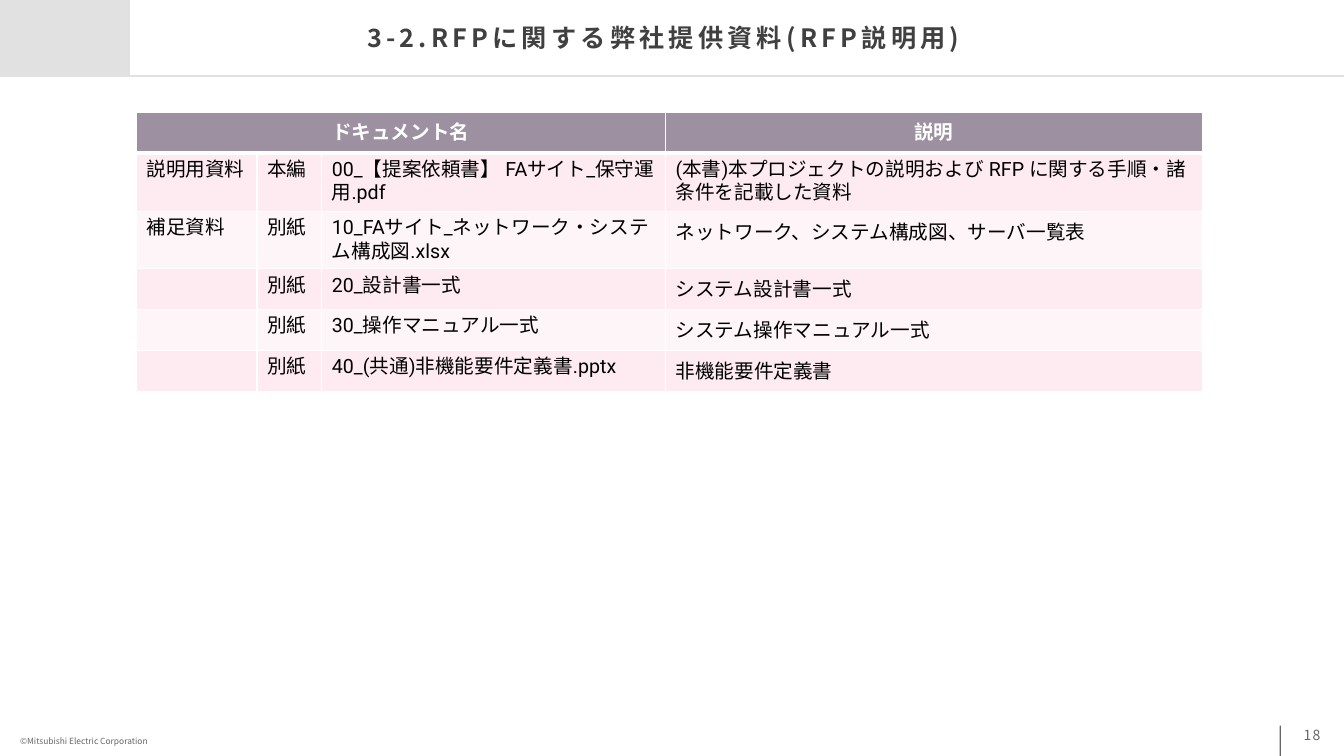
import pptx
import pptx.dml.color
import pptx.enum.shapes
import pptx.enum.text
import pptx.oxml
import pptx.oxml.ns
import pptx.util

Pt = pptx.util.Pt
ALIGN = pptx.enum.text.PP_ALIGN
ANCHOR = pptx.enum.text.MSO_ANCHOR
qn = pptx.oxml.ns.qn
NS = pptx.oxml.ns.nsdecls("a")
SANS, ROBOTO = "Noto Sans CJK JP", "Roboto"

HEADERS = [(0, "ドキュメント名"), (3, "説明")]
ROWS = [
    ("説明用資料", "本編", "00_【提案依頼書】 FAサイト_保守運用.pdf",
     "(本書)本プロジェクトの説明および RFP に関する手順・諸条件を記載した資料"),
    ("補足資料", "別紙", "10_FAサイト_ネットワーク・システム構成図.xlsx",
     "ネットワーク、システム構成図、サーバ一覧表"),
    ("", "別紙", "20_設計書一式", "システム設計書一式"),
    ("", "別紙", "30_操作マニュアル一式", "システム操作マニュアル一式"),
    ("", "別紙", "40_(共通)非機能要件定義書.pptx", "非機能要件定義書"),
]


def color(hex_string):
    return pptx.dml.color.RGBColor.from_string(hex_string)


def set_text(p, text, size, hex_string, font=SANS, bold=False, align=ALIGN.LEFT, spacing=0):
    p.text = text
    p.alignment = align
    f = p.font
    f.size, f.bold, f.name = Pt(size), bold, font
    f.color.rgb = color(hex_string)
    rpr = p._p.pPr.find(qn("a:defRPr"))
    rpr.set("spc", str(spacing * 100))
    rpr.find(qn("a:latin")).addnext(
        pptx.oxml.parse_xml(f'<a:ea {NS} typeface="{font}"/>'))


def add_text(s, x, y, w, h, text, size, hex_string, anchor=ANCHOR.MIDDLE, wrap=True, **style):
    tf = s.shapes.add_textbox(Pt(x), Pt(y), Pt(w), Pt(h)).text_frame
    tf.word_wrap = wrap
    tf.vertical_anchor = anchor
    tf.margin_left = tf.margin_right = tf.margin_top = tf.margin_bottom = 0
    set_text(tf.paragraphs[0], text, size, hex_string, **style)
    return tf.paragraphs[0]


def add_block(s, x, y, w, h, hex_string):
    block = s.shapes.add_shape(
        pptx.enum.shapes.MSO_SHAPE.RECTANGLE, Pt(x), Pt(y), Pt(w), Pt(h))
    block.shadow.inherit = False
    block.fill.solid()
    block.fill.fore_color.rgb = color(hex_string)
    block.line.fill.background()


def add_header(s, x, y, w, h):
    # Rule under the title band
    rule = s.shapes.add_connector(
        pptx.enum.shapes.MSO_CONNECTOR.STRAIGHT, Pt(x), Pt(y + h), Pt(x + w), Pt(y + h))
    rule.line.color.rgb = color("E1E1E1")
    rule.line.width = Pt(1.5)
    rule._element.spPr.append(pptx.oxml.parse_xml(f"<a:effectLst {NS}/>"))
    # Corner block and title
    add_block(s, x, y, 92.8, h, "E1E1E1")
    add_text(s, x + 123, y, 701.5, h, "3-2.RFPに関する弊社提供資料(RFP説明用)", 18, "404040",
             bold=True, align=ALIGN.CENTER, spacing=3)


def add_footer(s, x, y, w, h):
    add_block(s, x + w - 46, y + h - 21.6, 0.9, 21.6, "666666")
    p = add_text(s, x + 14.4, y + h - 16.6, 101.5, 8.6, "©Mitsubishi Electric Corporation",
                 6, "666666", anchor=ANCHOR.TOP, wrap=False)
    p.line_spacing = 1.3
    add_text(s, x + w - 60, y + h - 25.2, 43.2, 20.9, "18", 10, "666666",
             align=ALIGN.RIGHT, spacing=1)


def style_cell(cell, fill, bottom=1):
    cell.fill.solid()
    cell.fill.fore_color.rgb = color(fill)
    tcpr = cell._tc.tcPr
    for i, (side, width) in enumerate(zip("LRTB", (1, 1, 1, bottom))):
        tcpr.insert(i, pptx.oxml.parse_xml(
            f'<a:ln{side} {NS} w="{Pt(width)}"><a:solidFill><a:srgbClr val="FFFFFF"/>'
            f"</a:solidFill></a:ln{side}>"))


def add_documents(s, x, y, w, h):
    widths = [86.2, 46.3, 245.5]
    heights = [29.2, 41.76] + [29.2] * 4
    table = s.shapes.add_table(
        len(ROWS) + 1, 4, Pt(x), Pt(y), Pt(w), Pt(h)).table
    for column, width in zip(table.columns, widths + [w - sum(widths)]):
        column.width = Pt(width)
    for row, height in zip(table.rows, heights):
        row.height = Pt(height)

    # Heading row
    for cell in table.rows[0].cells:
        style_cell(cell, "9D90A0", bottom=3)
    table.cell(0, 0).merge(table.cell(0, 2))
    for c, text in HEADERS:
        cell = table.cell(0, c)
        cell.vertical_anchor = ANCHOR.MIDDLE
        set_text(cell.text_frame.paragraphs[0], text, 14, "FFFFFF", ROBOTO, True, ALIGN.CENTER)

    # Document rows in alternating tints
    for r, texts in enumerate(ROWS, 1):
        for c, text in enumerate(texts):
            cell = table.cell(r, c)
            style_cell(cell, "FDEBF1" if r % 2 else "FEF5F8")
            font = SANS if c == 3 and r > 1 else ROBOTO
            set_text(cell.text_frame.paragraphs[0], text, 14, "000000", font)


def main():
    prs = pptx.Presentation()
    prs.slide_width, prs.slide_height = Pt(960), Pt(540)
    s = prs.slides.add_slide(prs.slide_layouts[6])
    add_footer(s, 0, 0, 960, 540)
    add_header(s, 0, 0, 960, 54)
    add_documents(s, 97.4, 80.2, 761.6, 200.9)
    prs.save("out.pptx")


if __name__ == "__main__":
    main()
